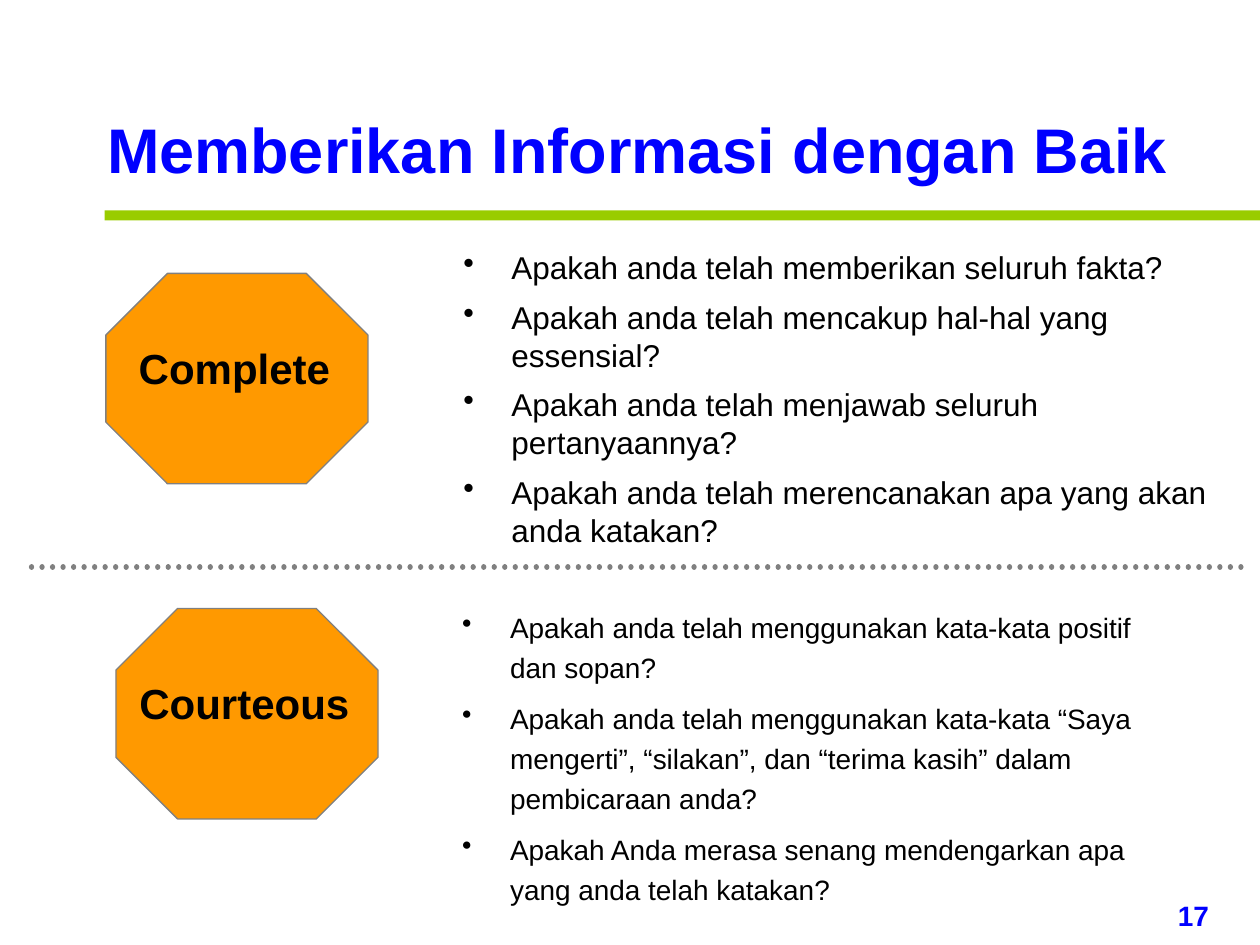
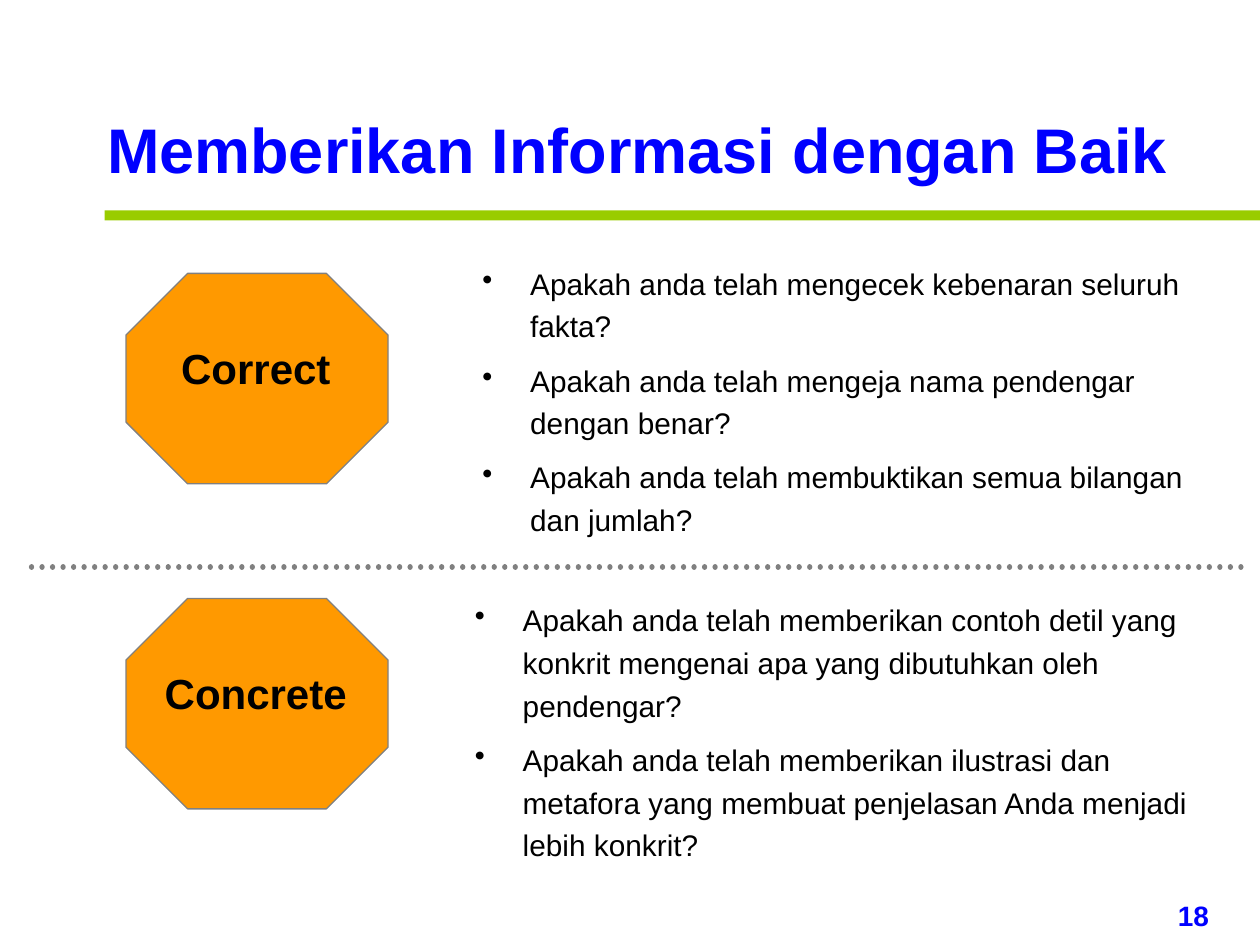
from lxml import etree
from pptx import Presentation
from pptx.dml.color import RGBColor
from pptx.enum import dml, shapes, text
from pptx.oxml.ns import qn
from pptx.util import Inches, Pt

COLORS = {"blue": "0000FF", "green": "99CC00", "orange": "FF9900",
          "gray": "808080", "black": "000000"}
TITLE = "Memberikan Informasi dengan Baik"

# Each topic: label, octagon (left, top), label (left, width),
# question box (left, top, width, height), size, line spacing, space before, questions
SLIDES = [
    (17, [
        ("Complete", (0.84, 2.17), (1, 1.72), (3.58, 1.92, 6.42, 2.48), 18, 1.0, 6.8, [
            "Apakah anda telah memberikan seluruh fakta?",
            "Apakah anda telah mencakup hal-hal yang essensial?",
            "Apakah anda telah menjawab seluruh pertanyaannya?",
            "Apakah anda telah merencanakan apa yang akan anda katakan?"]),
        ("Courteous", (0.92, 4.83), (1.01, 1.86), (3.57, 4.74, 5.85, 2.51), 16, 1.2, 6, [
            "Apakah anda telah menggunakan kata-kata positif dan sopan?",
            "Apakah anda telah menggunakan kata-kata “Saya mengerti”, “silakan”, "
            "dan “terima kasih” dalam pembicaraan anda?",
            "Apakah Anda merasa senang mendengarkan apa yang anda telah katakan?"]),
    ]),
    (18, [
        ("Correct", (1, 2.17), (1.34, 1.38), (3.73, 2, 5.93, 2.32), 17, 1.2, 6.4, [
            "Apakah anda telah mengecek kebenaran seluruh fakta?",
            "Apakah anda telah mengeja nama pendengar dengan benar?",
            "Apakah anda telah membuktikan semua bilangan dan jumlah?"]),
        ("Concrete", (1, 4.75), (1.21, 1.64), (3.67, 4.67, 6.08, 2.23), 17, 1.2, 6.4, [
            "Apakah anda telah memberikan contoh detil yang konkrit mengenai "
            "apa yang dibutuhkan oleh pendengar?",
            "Apakah anda telah memberikan ilustrasi dan metafora yang membuat "
            "penjelasan Anda menjadi lebih konkrit?"]),
    ]),
]


def rgb(name):
    return RGBColor.from_string(COLORS[name])


def write(sp, lines, size, color, bold=False, wrap=True, align=text.PP_ALIGN.LEFT):
    """Fill a text shape with equally formatted paragraphs."""
    tf = sp.text_frame
    tf.text = "\n".join(lines)
    tf.word_wrap = wrap
    tf.auto_size = text.MSO_AUTO_SIZE.NONE
    tf.vertical_anchor = text.MSO_ANCHOR.TOP
    for p in tf.paragraphs:
        p.alignment = align
        p.font.name, p.font.size, p.font.bold = "Arial", Pt(size), bold
        p.font.color.rgb = rgb(color)
    return tf


prs = Presentation()
prs.slide_width, prs.slide_height = Inches(10), Inches(7.5)

for number, topics in SLIDES:
    s = prs.slides.add_slide(prs.slide_layouts[5])

    # Title, green band and slide number
    title = s.shapes.title
    title.left, title.top = Inches(0.75), Inches(0.83)
    title.width, title.height = Inches(8.62), Inches(0.7)
    write(title, [TITLE], 36, "blue", bold=True, wrap=False)

    band = s.shapes.add_shape(shapes.MSO_SHAPE.RECTANGLE, Inches(0.83), Inches(1.67),
                              Inches(9.17), Inches(0.08))
    band.shadow.inherit = False
    band.fill.solid()
    band.fill.fore_color.rgb = rgb("green")
    band.line.fill.background()

    tb = s.shapes.add_textbox(Inches(9.25), Inches(7.08), Inches(0.67), Inches(0.37))
    write(tb, [str(number)], 16, "blue", bold=True)

    for label, (x, y), (label_x, label_w), box, size, spacing, before, questions in topics:
        # Octagon with its label
        sp = s.shapes.add_shape(shapes.MSO_SHAPE.OCTAGON, Inches(x), Inches(y),
                                Inches(2.08), Inches(1.67))
        sp.shadow.inherit = False
        sp.fill.solid()
        sp.fill.fore_color.rgb = rgb("orange")
        sp.line.color.rgb = rgb("gray")
        sp.line.width = Pt(0.75)
        tb = s.shapes.add_textbox(Inches(label_x), Inches(y + 0.5), Inches(label_w), Inches(0.5))
        write(tb, [label], 24, "black", bold=True, wrap=False, align=text.PP_ALIGN.CENTER)

        # Bulleted questions
        tb = s.shapes.add_textbox(*map(Inches, box))
        tf = write(tb, questions, size, "black")
        for i, p in enumerate(tf.paragraphs):
            p.line_spacing = spacing
            p.space_before = Pt(before if i else 0)
            pPr = p._p.get_or_add_pPr()
            pPr.set("marL", str(Inches(0.38)))
            pPr.set("indent", str(-Inches(0.38)))
            bullet = etree.Element(qn("a:buChar"), char="•")
            pPr.insert_element_before(bullet, "a:tabLst", "a:defRPr", "a:extLst")

    # Dotted divider
    divider = s.shapes.add_connector(shapes.MSO_CONNECTOR.STRAIGHT, Inches(0.25), Inches(4.5),
                                     Inches(9.92), Inches(4.5))
    divider.line.color.rgb = rgb("gray")
    divider.line.width = Pt(3)
    divider.line.dash_style = dml.MSO_LINE.ROUND_DOT
    divider.line._ln.set("cap", "rnd")
    etree.SubElement(divider._element.spPr, qn("a:effectLst"))

prs.save("out.pptx")
